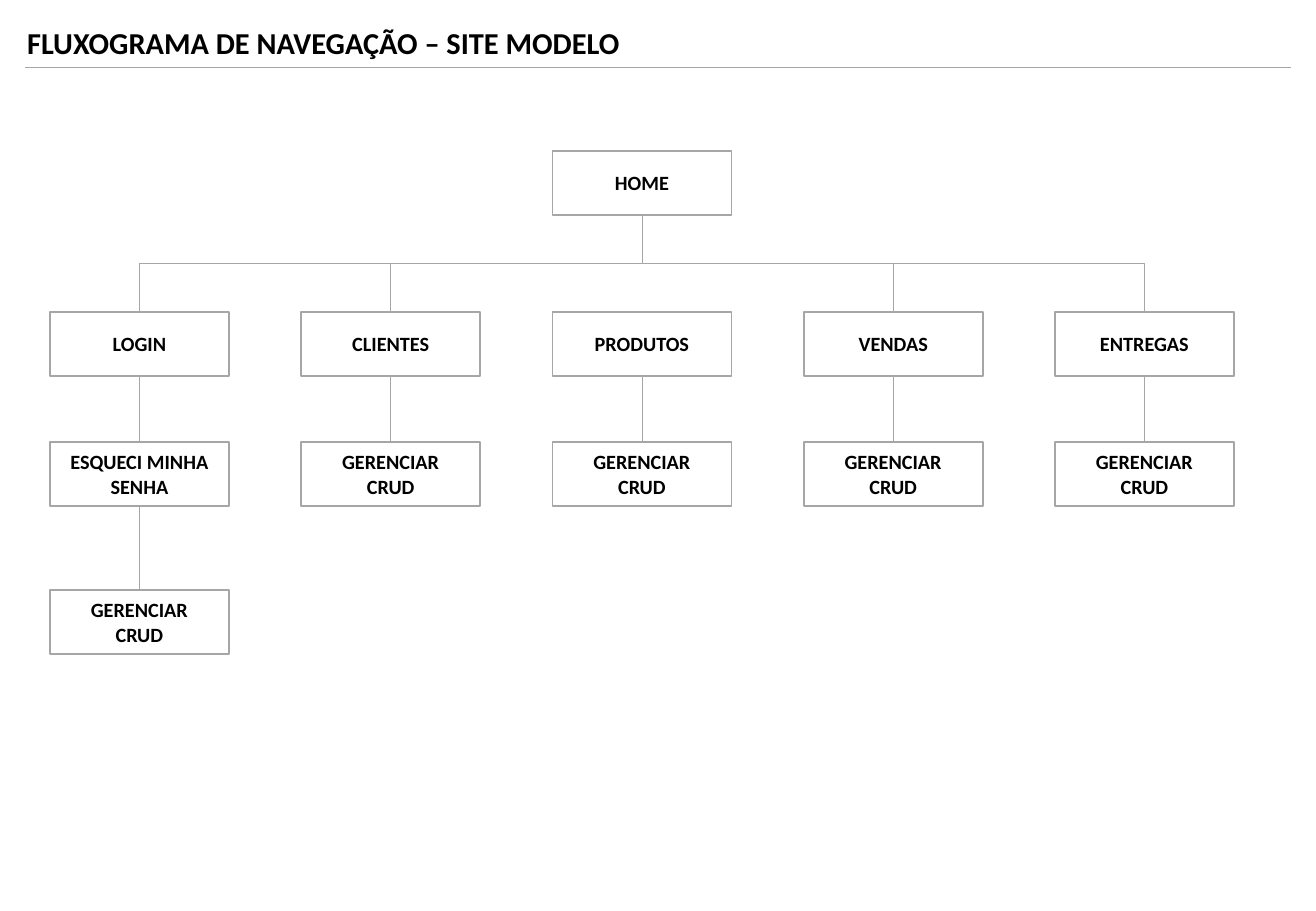
from pptx import Presentation, util as u
from pptx.dml.color import RGBColor
from pptx.enum import shapes, text
from pptx.oxml.ns import qn
from lxml import etree

PX = 914400 / 121.5
COLORS = {"line": "A6A6A6", "fill": "FFFFFF", "text": "000000"}
BOX_W, BOX_H = 179, 64
LEFT, STEP = 50, 251.25
HOME_TOP = 151
ROW_TOPS = [312, 442, 590]
BOTTOM, TOP = 2, 0
CRUD = "GERENCIAR\nCRUD"
COLUMNS = [
    ["LOGIN", "ESQUECI MINHA SENHA", CRUD],
    ["CLIENTES", CRUD],
    ["PRODUTOS", CRUD],
    ["VENDAS", CRUD],
    ["ENTREGAS", CRUD],
]


def write(sp, content, size, align, anchor):
    tf = sp.text_frame
    frame = {"text": content, "word_wrap": True, "auto_size": text.MSO_AUTO_SIZE.NONE,
             "vertical_anchor": anchor}
    for name, value in frame.items():
        setattr(tf, name, value)
    for p in tf.paragraphs:
        p.alignment = align
        for r in p.runs:
            for name, value in {"name": "Calibri", "size": u.Pt(size), "bold": True}.items():
                setattr(r.font, name, value)
            r.font.color.rgb = RGBColor.from_string(COLORS["text"])


def add_line(kind, ends):
    line = s.shapes.add_connector(kind, *[round(v * PX) for v in ends])
    line.line.width = u.Pt(0.5)
    line.line.color.rgb = RGBColor.from_string(COLORS["line"])
    etree.SubElement(line._element.spPr, qn("a:effectLst"))
    return line


prs = Presentation()
prs.slide_width, prs.slide_height = round(1316 * PX), round(911.25 * PX)
s = prs.slides.add_slide(prs.slide_layouts[5])

title = s.shapes.title
for name, value in {"left": 15, "top": 18, "width": 660, "height": 49}.items():
    setattr(title, name, round(value * PX))
write(title, "FLUXOGRAMA DE NAVEGAÇÃO – SITE MODELO", 18,
      text.PP_ALIGN.LEFT, text.MSO_ANCHOR.TOP)
add_line(shapes.MSO_CONNECTOR.STRAIGHT, (25, 67, 1291, 67))

nodes = [("HOME", 2, HOME_TOP)]
for col, labels in enumerate(COLUMNS):
    nodes += [(label, col, top) for label, top in zip(labels, ROW_TOPS)]

boxes = {}
for label, col, top in nodes:
    geometry = (LEFT + col * STEP, top, BOX_W, BOX_H)
    sp = s.shapes.add_shape(shapes.MSO_SHAPE.RECTANGLE, *[round(v * PX) for v in geometry])
    sp.shadow.inherit = False
    sp.fill.solid()
    sp.fill.fore_color.rgb = RGBColor.from_string(COLORS["fill"])
    sp.line.color.rgb = RGBColor.from_string(COLORS["line"])
    sp.line.width = u.Pt(1)
    write(sp, label, 12, text.PP_ALIGN.CENTER, text.MSO_ANCHOR.MIDDLE)
    boxes[col, top] = sp

for col, labels in enumerate(COLUMNS):
    x = LEFT + col * STEP + BOX_W / 2
    tops = ROW_TOPS[:len(labels)]
    for upper, lower in zip(tops, tops[1:]):
        line = add_line(shapes.MSO_CONNECTOR.STRAIGHT, (x, upper + BOX_H, x, lower))
        line.begin_connect(boxes[col, upper], BOTTOM)
        line.end_connect(boxes[col, lower], TOP)

home_x = LEFT + 2 * STEP + BOX_W / 2
home_bottom = HOME_TOP + BOX_H
drop = ROW_TOPS[0] - home_bottom
for col in (0, 1, 3, 4):
    reach = abs(col - 2) * STEP
    mid_x = home_x + (col - 2) * STEP / 2
    mid_y = home_bottom + drop / 2
    left, top = mid_x - drop / 2, mid_y - reach / 2
    line = add_line(shapes.MSO_CONNECTOR.ELBOW, (left, top, left + drop, top + reach))
    line.begin_connect(boxes[2, HOME_TOP], BOTTOM)
    line.end_connect(boxes[col, ROW_TOPS[0]], TOP)
    for name, value in {"left": left, "top": top, "width": drop, "height": reach}.items():
        setattr(line, name, round(value * PX))
    xfrm = line._element.spPr.find(qn("a:xfrm"))
    xfrm.set("rot", str((90 if col < 2 else 270) * 60000))
    xfrm.set("flipH", "0" if col < 2 else "1")
    xfrm.set("flipV", "0")

prs.save("out.pptx")
